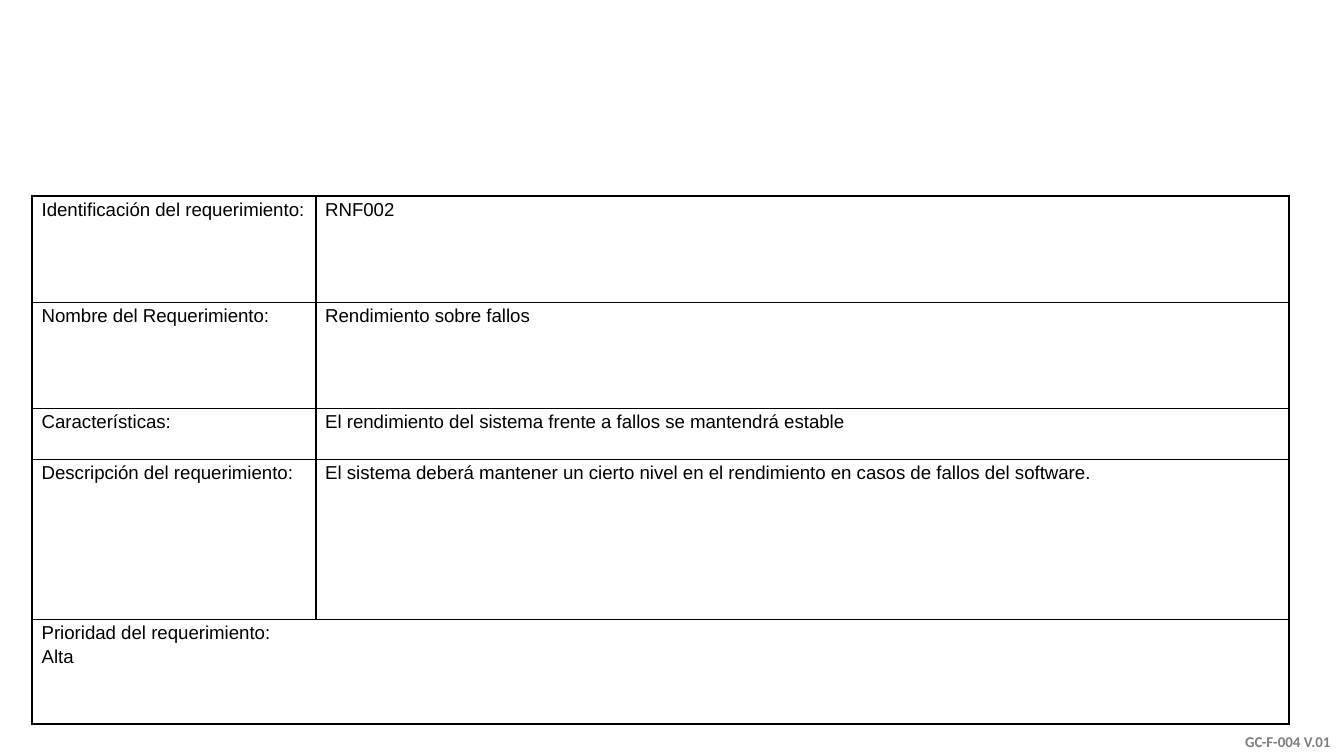
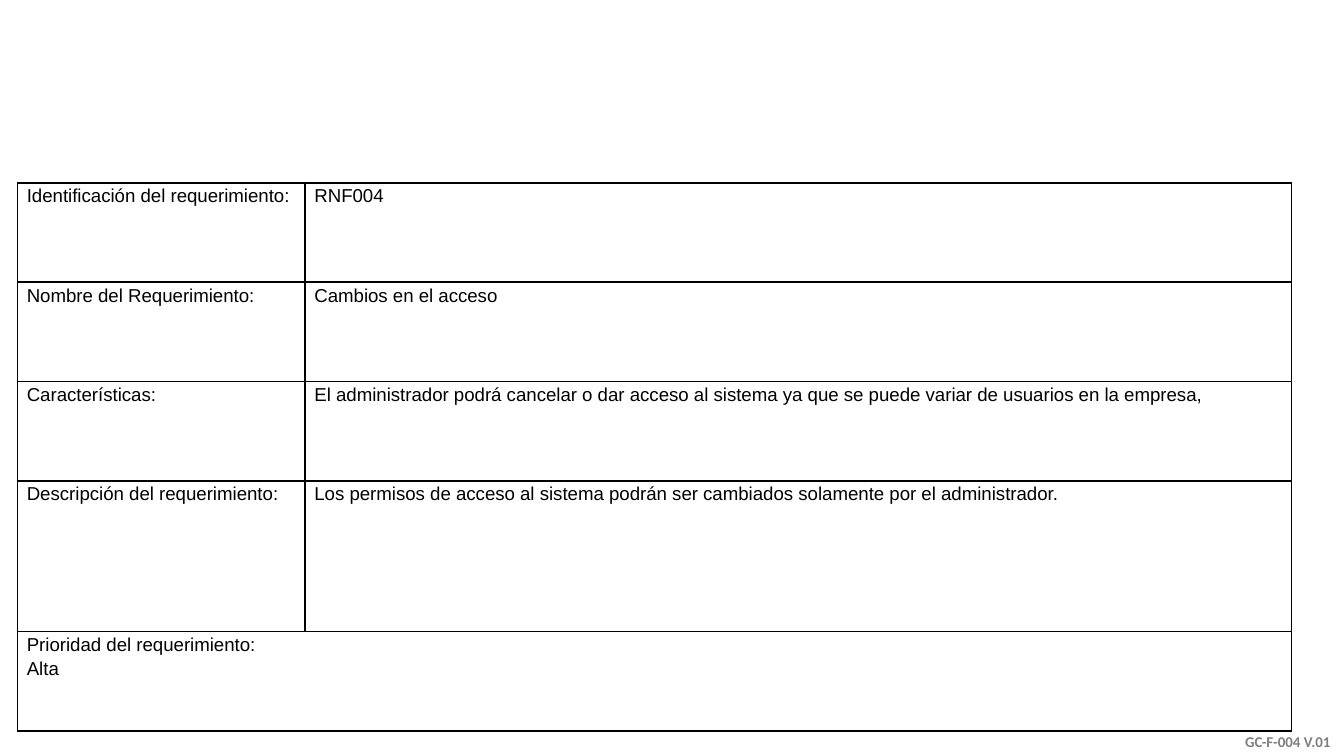
from lxml.etree import SubElement
from pptx import Presentation
from pptx.dml.color import RGBColor
from pptx.enum.text import MSO_ANCHOR, PP_ALIGN
from pptx.oxml.ns import qn
from pptx.util import Inches, Pt

SLIDE_WIDTH = 10
SLIDE_HEIGHT = SLIDE_WIDTH * 9 / 16
COLORS = {"ink": "000000", "footer": "7F7F7F"}
LABELS = [
    "Identificación del requerimiento:",
    "Nombre del Requerimiento:",
    "Características:",
    "Descripción del requerimiento:",
]
PRIORITY_LABEL = "Prioridad del requerimiento:"
DESCRIPTION_ROW = 3
FOOTER_BOX = (8.37, 5.2, 1.63, 0.43)

REQUIREMENTS = [
    {
        "box": (0.24, 1.46, 9.35, 3.92),
        "label_width": 2.11,
        "row_heights": [0.79, 0.79, 0.38, 1.19, 0.78],
        "values": [
            "RNF002",
            "Rendimiento sobre fallos",
            "El rendimiento del sistema frente a fallos se mantendrá estable",
            "El sistema deberá mantener un cierto nivel en el rendimiento "
            "en casos de fallos del software.",
        ],
        "priority": "Alta",
    },
    {
        "box": (0.13, 1.36, 9.48, 4.09),
        "label_width": 2.14,
        "row_heights": [0.74, 0.74, 0.74, 1.12, 0.74],
        "values": [
            "RNF004",
            "Cambios en el acceso",
            "El administrador podrá cancelar o dar acceso al sistema "
            "ya que se puede variar de usuarios en la empresa,",
            "Los permisos de acceso al sistema podrán ser cambiados "
            "solamente por el administrador.",
        ],
        "priority": "Alta",
    },
]


def set_font(paragraph, name, size, color, bold=False):
    paragraph.font.name = name
    paragraph.font.size = Pt(size)
    paragraph.font.bold = bold
    paragraph.font.color.rgb = RGBColor.from_string(COLORS[color])


def add_footer(slide, box):
    frame = slide.shapes.add_textbox(*map(Inches, box)).text_frame
    frame.word_wrap = True
    frame.vertical_anchor = MSO_ANCHOR.BOTTOM
    paragraph = frame.paragraphs[0]
    paragraph.text = "GC-F-004 V.01"
    paragraph.alignment = PP_ALIGN.RIGHT
    set_font(paragraph, "Calibri", 8, "footer", bold=True)


def style_cell(cell):
    """Give the cell thin black borders, no fill and tight margins."""
    properties = cell._tc.get_or_add_tcPr()
    for side in ("a:lnL", "a:lnR", "a:lnT", "a:lnB"):
        line = SubElement(properties, qn(side), w=str(Pt(1)))
        fill = SubElement(line, qn("a:solidFill"))
        SubElement(fill, qn("a:srgbClr"), val=COLORS["ink"])
    cell.fill.background()
    cell.margin_left = cell.margin_right = Inches(0.07)
    cell.margin_top = cell.margin_bottom = 0


def write_cell(cell, text, alignment=PP_ALIGN.LEFT):
    cell.text = text
    for paragraph in cell.text_frame.paragraphs:
        paragraph.alignment = alignment
        paragraph.line_spacing = 1.15
        set_font(paragraph, "Arial", 10, "ink")


def add_requirement_table(slide, requirement):
    box = requirement["box"]
    heights = requirement["row_heights"]
    table = slide.shapes.add_table(len(heights), 2, *map(Inches, box)).table
    table.first_row = table.horz_banding = False
    table.columns[0].width = Inches(requirement["label_width"])
    table.columns[1].width = Inches(box[2] - requirement["label_width"])
    for row, height in zip(table.rows, heights):
        row.height = Inches(height)
    for cell in table.iter_cells():
        style_cell(cell)

    for index, (label, value) in enumerate(zip(LABELS, requirement["values"])):
        is_description = index == DESCRIPTION_ROW
        write_cell(table.cell(index, 0), label)
        write_cell(table.cell(index, 1), value,
                   PP_ALIGN.JUSTIFY if is_description else PP_ALIGN.LEFT)

    last = len(heights) - 1
    table.cell(last, 0).merge(table.cell(last, 1))
    write_cell(table.cell(last, 0), f"{PRIORITY_LABEL}\n{requirement['priority']}")


def add_requirement_slide(presentation, requirement):
    slide = presentation.slides.add_slide(presentation.slide_layouts[6])
    add_footer(slide, FOOTER_BOX)
    add_requirement_table(slide, requirement)


def main():
    presentation = Presentation()
    presentation.slide_width = Inches(SLIDE_WIDTH)
    presentation.slide_height = Inches(SLIDE_HEIGHT)
    for requirement in REQUIREMENTS:
        add_requirement_slide(presentation, requirement)
    presentation.save("out.pptx")


if __name__ == "__main__":
    main()
